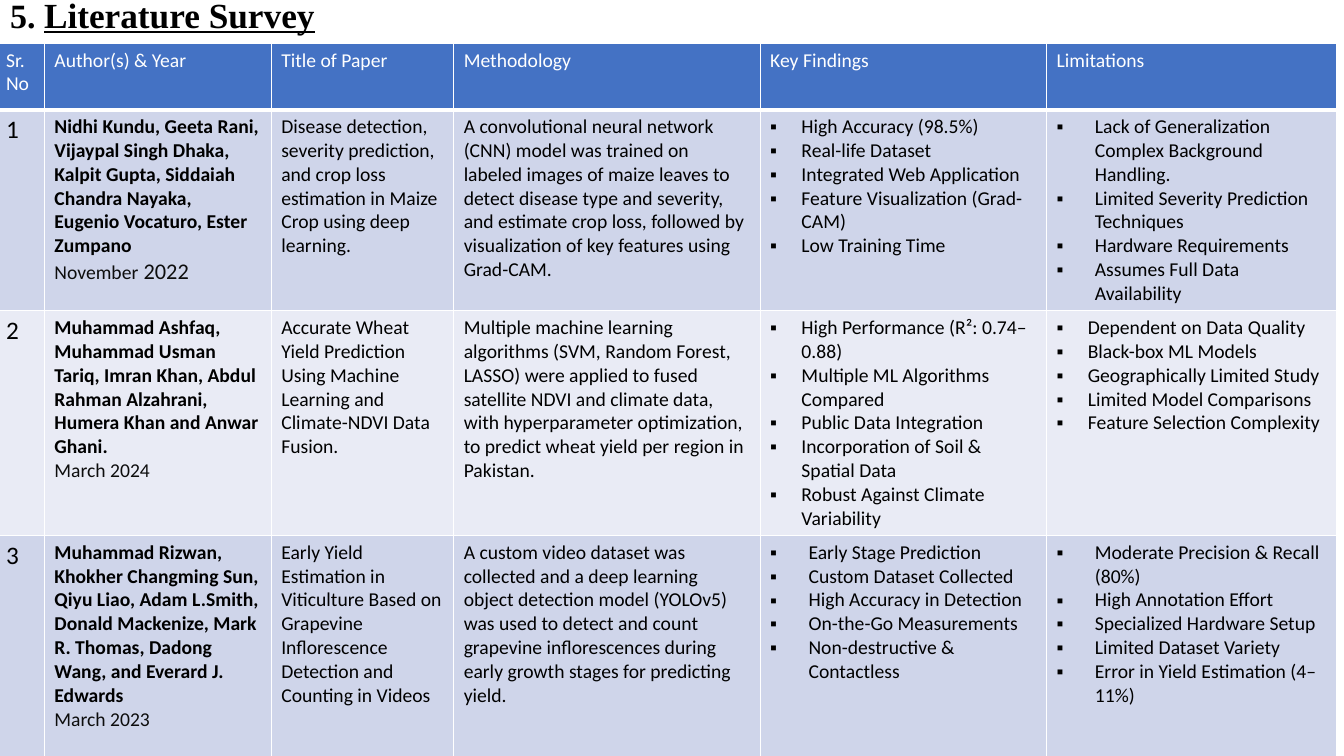
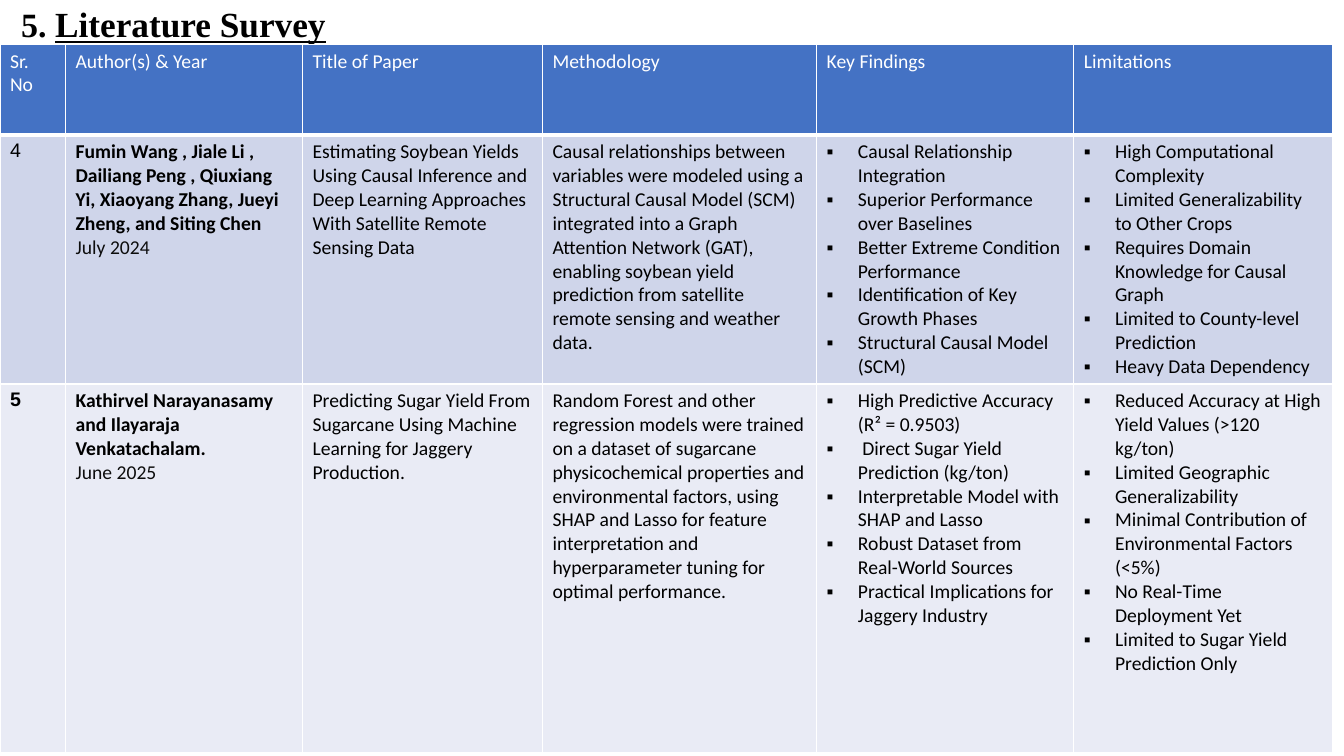
from dataclasses import dataclass

from lxml import etree
from pptx import Presentation
from pptx.dml.color import RGBColor
from pptx.enum.text import MSO_ANCHOR, MSO_AUTO_SIZE, PP_ALIGN
from pptx.oxml.ns import qn
from pptx.util import Inches, Pt

LEFT = PP_ALIGN.LEFT
MIDDLE = MSO_ANCHOR.MIDDLE
NO_FIT = MSO_AUTO_SIZE.NONE
TITLE_ONLY = 5


@dataclass(frozen=True)
class Theme:
    header: str = "4472C4"
    bands: tuple[str, str] = ("CFD5EA", "E9EBF5")
    white: str = "FFFFFF"
    black: str = "000000"
    ink: str = "0D0D0D"
    title_font: str = "Times New Roman"
    body_font: str = "Calibri"
    number_font: str = "Arial"
    title_no_size: float = 24.3
    title_size: float = 25.2
    body_size: float = 14
    year_size: float = 16
    big_no_size: float = 18
    rule: float = 1
    header_rule: float = 3


@dataclass(frozen=True)
class Bullets:
    items: tuple[str, ...]
    indent: float = 0.31


@dataclass(frozen=True)
class Paper:
    number: str
    authors: str
    month: str
    year: str
    title: str
    method: str
    findings: Bullets
    limits: Bullets
    year_size: float = 14
    number_bold: bool = False


@dataclass(frozen=True)
class Survey:
    title_box: tuple[float, float, float, float]
    origin: tuple[float, float]
    cols: tuple[float, ...]
    rows: tuple[float, ...]
    number_font: str
    number_size: float
    papers: tuple[Paper, ...]


T = Theme()
HEADINGS = (("Sr.", "No"), ("Author(s) & Year",), ("Title of Paper",),
            ("Methodology",), ("Key Findings",), ("Limitations",))

SURVEYS = (
    Survey(
        (0, -0.02, 11.18, 0.37), (-0.04, 0.43),
        (0.48, 2.25, 1.81, 3.04, 2.84, 2.88), (0.66, 1.99, 2.23, 2.19),
        T.body_font, T.big_no_size,
        (
            Paper(
                "1",
                "Nidhi Kundu, Geeta Rani, Vijaypal Singh Dhaka, Kalpit Gupta, "
                "Siddaiah Chandra Nayaka, Eugenio Vocaturo, Ester Zumpano",
                "November", "2022",
                "Disease detection, severity prediction, and crop loss "
                "estimation in Maize Crop using deep learning.",
                "A convolutional neural network (CNN) model was trained on "
                "labeled images of maize leaves to detect disease type and "
                "severity, and estimate crop loss, followed by visualization "
                "of key features using Grad-CAM.",
                Bullets(("High Accuracy (98.5%)", "Real-life Dataset",
                         "Integrated Web Application",
                         "Feature Visualization (Grad-CAM)",
                         "Low Training Time")),
                Bullets(("Lack of Generalization Complex Background Handling.",
                         "Limited Severity Prediction Techniques",
                         "Hardware Requirements",
                         "Assumes Full Data Availability"), 0.38),
                year_size=T.year_size),
            Paper(
                "2",
                "Muhammad Ashfaq, Muhammad Usman Tariq, Imran Khan, Abdul "
                "Rahman Alzahrani, Humera Khan and Anwar Ghani.",
                "March", "2024",
                "Accurate Wheat Yield Prediction Using Machine Learning and "
                "Climate-NDVI Data Fusion.",
                "Multiple machine learning algorithms (SVM, Random Forest, "
                "LASSO) were applied to fused satellite NDVI and climate data, "
                "with hyperparameter optimization, to predict wheat yield per "
                "region in Pakistan.",
                Bullets(("High Performance (R²: 0.74–0.88)",
                         "Multiple ML Algorithms Compared",
                         "Public Data Integration",
                         "Incorporation of Soil & Spatial Data",
                         "Robust Against Climate Variability")),
                Bullets(("Dependent on Data Quality", "Black-box ML Models",
                         "Geographically Limited Study",
                         "Limited Model Comparisons",
                         "Feature Selection Complexity"))),
            Paper(
                "3",
                "Muhammad Rizwan, Khokher Changming Sun, Qiyu Liao, Adam "
                "L.Smith, Donald Mackenize, Mark R. Thomas, Dadong Wang, and "
                "Everard J. Edwards",
                "March", "2023",
                "Early Yield Estimation in Viticulture Based on Grapevine "
                "Inflorescence Detection and Counting in Videos",
                "A custom video dataset was collected and a deep learning "
                "object detection model (YOLOv5) was used to detect and count "
                "grapevine inflorescences during early growth stages for "
                "predicting yield.",
                Bullets(("Early Stage Prediction", "Custom Dataset Collected",
                         "High Accuracy in Detection", "On-the-Go Measurements",
                         "Non-destructive & Contactless"), 0.38),
                Bullets(("Moderate Precision & Recall (80%)",
                         "High Annotation Effort", "Specialized Hardware Setup",
                         "Limited Dataset Variety",
                         "Error in Yield Estimation (4–11%)"), 0.38)),
        )),
    Survey(
        (0.11, 0.04, 11.5, 0.44), (0, 0.44),
        (0.65, 2.35, 2.38, 2.72, 2.55, 2.57), (0.9, 2.47, 3.66),
        T.number_font, T.body_size,
        (
            Paper(
                "4",
                "Fumin Wang , Jiale Li , Dailiang Peng , Qiuxiang Yi, Xiaoyang "
                "Zhang, Jueyi Zheng, and Siting Chen",
                "July", "2024",
                "Estimating Soybean Yields Using Causal Inference and Deep "
                "Learning Approaches With Satellite Remote Sensing Data",
                "Causal relationships between variables were modeled using a "
                "Structural Causal Model (SCM) integrated into a Graph "
                "Attention Network (GAT), enabling soybean yield prediction "
                "from satellite remote sensing and weather data.",
                Bullets(("Causal Relationship Integration",
                         "Superior Performance over Baselines",
                         "Better Extreme Condition Performance",
                         "Identification of Key Growth Phases",
                         "Structural Causal Model (SCM)")),
                Bullets(("High Computational Complexity",
                         "Limited Generalizability to Other Crops",
                         "Requires Domain Knowledge for Causal Graph",
                         "Limited to County-level Prediction",
                         "Heavy Data Dependency"))),
            Paper(
                "5", "Kathirvel Narayanasamy and Ilayaraja Venkatachalam.",
                "June", "2025",
                "Predicting Sugar Yield From Sugarcane Using Machine Learning "
                "for Jaggery Production.",
                "Random Forest and other regression models were trained on a "
                "dataset of sugarcane physicochemical properties and "
                "environmental factors, using SHAP and Lasso for feature "
                "interpretation and hyperparameter tuning for optimal "
                "performance.",
                Bullets(("High Predictive Accuracy (R² = 0.9503)",
                         " Direct Sugar Yield Prediction (kg/ton)",
                         "Interpretable Model with SHAP and Lasso",
                         "Robust Dataset from Real-World Sources",
                         "Practical Implications for Jaggery Industry")),
                Bullets(("Reduced Accuracy at High Yield Values (>120 kg/ton)",
                         "Limited Geographic Generalizability",
                         "Minimal Contribution of Environmental Factors (<5%)",
                         "No Real-Time Deployment Yet",
                         "Limited to Sugar Yield Prediction Only")),
                number_bold=True),
        )),
)


# Text
def add_run(p, text: str, *, size: float = T.body_size, font: str = T.body_font,
            color: str = T.black, bold: bool = False,
            underline: bool = False) -> None:
    r = p.add_run()
    r.text = text
    r.font.size = Pt(size)
    r.font.name = font
    r.font.color.rgb = RGBColor.from_string(color)
    r.font.bold = bold
    r.font.underline = underline


def next_paragraph(tf, index: int):
    return tf.add_paragraph() if index else tf.paragraphs[0]


def add_bullets(tf, bullets: Bullets) -> None:
    for i, item in enumerate(bullets.items):
        p = next_paragraph(tf, i)
        pPr = p._p.get_or_add_pPr()
        pPr.set("marL", str(Inches(bullets.indent)))
        pPr.set("indent", str(-Inches(bullets.indent)))
        etree.SubElement(pPr, qn("a:buFont"), typeface="Arial")
        etree.SubElement(pPr, qn("a:buChar"), char="▪")
        add_run(p, item)


# Table cells
def style_cell(cell, fill: str, top: float, bottom: float) -> None:
    tcPr = cell._tc.get_or_add_tcPr()
    sides = (("L", T.rule), ("R", T.rule), ("T", top), ("B", bottom))
    for side, width in sides:
        ln = etree.SubElement(tcPr, qn(f"a:ln{side}"), w=str(Pt(width)))
        solid = etree.SubElement(ln, qn("a:solidFill"))
        etree.SubElement(solid, qn("a:srgbClr"), val=T.white)
    cell.fill.solid()
    cell.fill.fore_color.rgb = RGBColor.from_string(fill)


def fill_paper_row(cells, paper: Paper, survey: Survey) -> None:
    number, authors, title, method, findings, limits = (
        cell.text_frame for cell in cells)
    add_run(number.paragraphs[0], paper.number, size=survey.number_size,
            font=survey.number_font, bold=paper.number_bold)
    add_run(authors.paragraphs[0], paper.authors, bold=True)
    date = authors.add_paragraph()
    add_run(date, paper.month, color=T.ink)
    add_run(date, f" {paper.year}", size=paper.year_size, color=T.ink)
    add_run(title.paragraphs[0], paper.title)
    add_run(method.paragraphs[0], paper.method)
    add_bullets(findings, paper.findings)
    add_bullets(limits, paper.limits)


# Slide parts
def add_title(s, box: tuple[float, float, float, float]) -> None:
    sp = s.shapes.title
    sp.left, sp.top, sp.width, sp.height = (Inches(v) for v in box)
    tf = sp.text_frame
    tf.auto_size = NO_FIT
    tf.vertical_anchor = MIDDLE
    p = tf.paragraphs[0]
    p.alignment = LEFT
    p.line_spacing = 0.9
    add_run(p, "5. ", size=T.title_no_size, font=T.title_font, bold=True)
    add_run(p, "Literature Survey", size=T.title_size, font=T.title_font,
            bold=True, underline=True)


def add_survey_table(s, survey: Survey) -> None:
    x, y = survey.origin
    table = s.shapes.add_table(
        len(survey.rows), len(survey.cols), Inches(x), Inches(y),
        Inches(sum(survey.cols)), Inches(sum(survey.rows))).table
    for col, width in zip(table.columns, survey.cols):
        col.width = Inches(width)
    for row, height in zip(table.rows, survey.rows):
        row.height = Inches(height)

    # Header row
    for cell, lines in zip(table.rows[0].cells, HEADINGS):
        style_cell(cell, T.header, T.rule, T.header_rule)
        for i, line in enumerate(lines):
            add_run(next_paragraph(cell.text_frame, i), line, color=T.white)

    # One banded row per paper
    for i, paper in enumerate(survey.papers):
        cells = list(table.rows[i + 1].cells)
        for cell in cells:
            style_cell(cell, T.bands[i % 2],
                       T.rule if i else T.header_rule, T.rule)
        fill_paper_row(cells, paper, survey)


def main() -> None:
    prs = Presentation()
    prs.slide_width, prs.slide_height = Inches(13.33), Inches(7.5)
    for survey in SURVEYS:
        s = prs.slides.add_slide(prs.slide_layouts[TITLE_ONLY])
        add_title(s, survey.title_box)
        add_survey_table(s, survey)
    prs.save("out.pptx")


if __name__ == "__main__":
    main()
